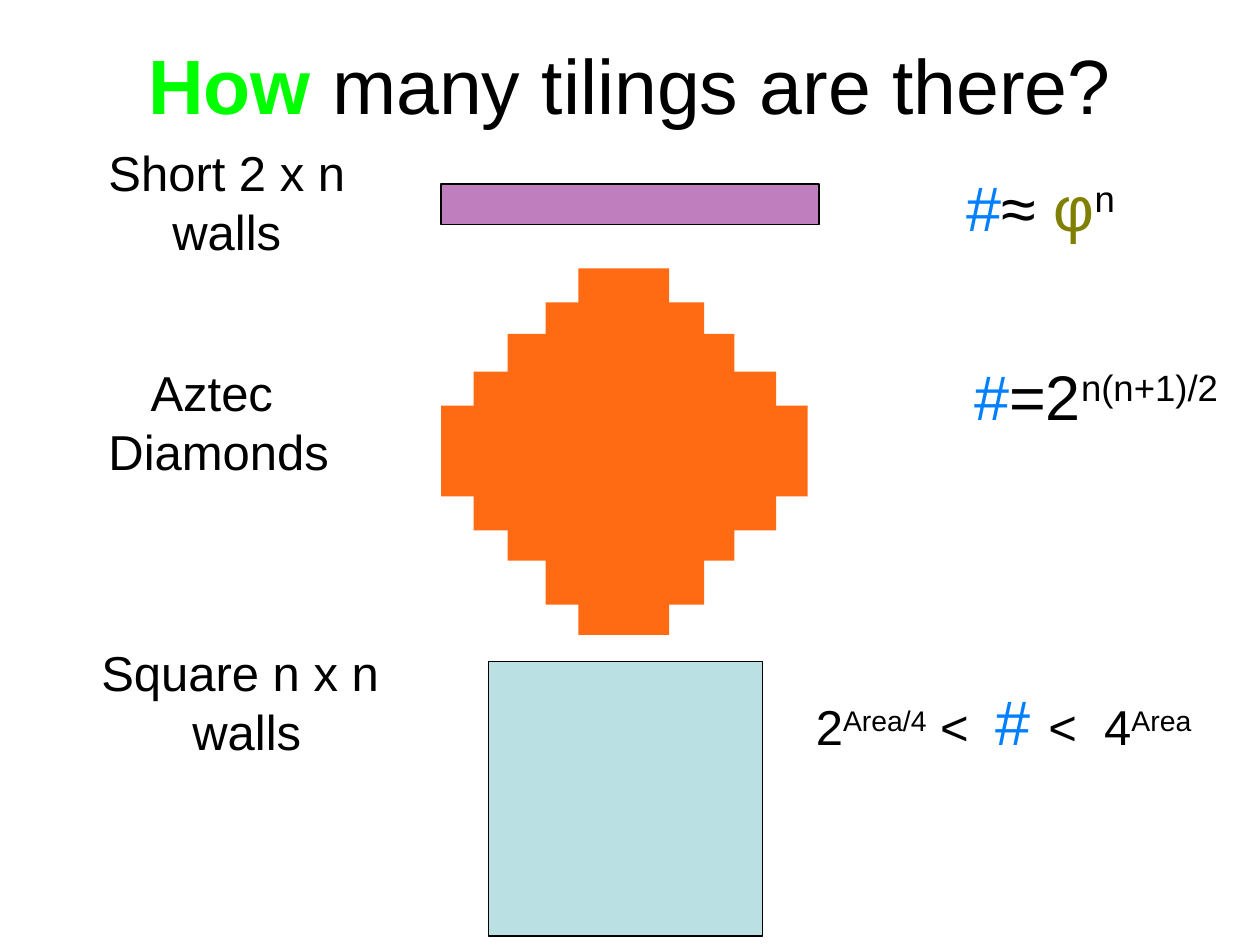
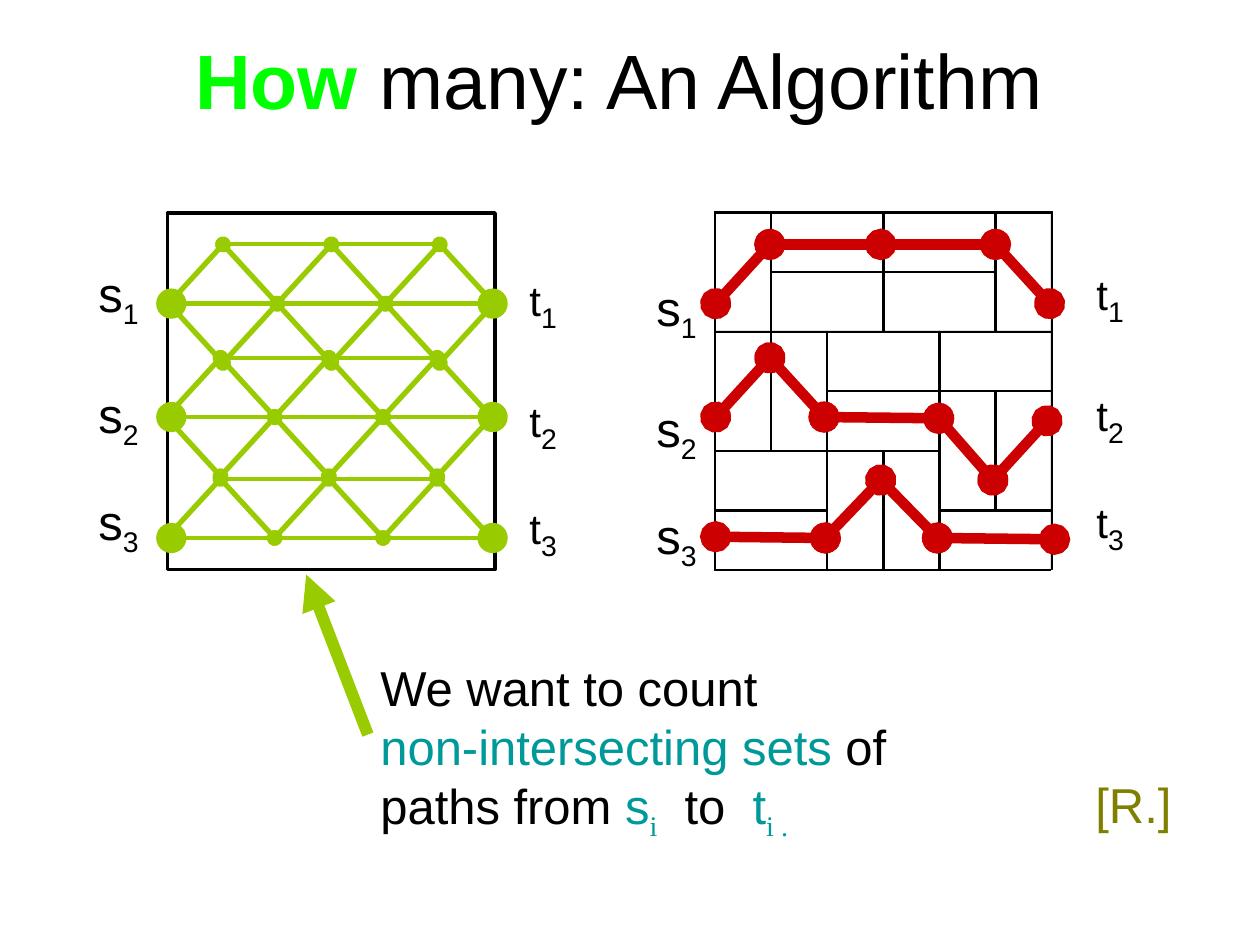
from dataclasses import dataclass
from itertools import pairwise

from lxml.etree import SubElement
from pptx import Presentation
from pptx.dml.color import RGBColor
from pptx.enum.shapes import MSO_CONNECTOR, MSO_SHAPE
from pptx.enum.text import MSO_ANCHOR, MSO_AUTO_SIZE, PP_ALIGN
from pptx.oxml.ns import qn
from pptx.util import Inches, Pt


@dataclass(frozen=True)
class Theme:
    font: str = "Arial"
    index_font: str = "Times New Roman"
    ink: str = "000000"
    highlight: str = "00FF00"
    count: str = "0080FF"
    olive: str = "808000"
    teal: str = "009999"
    short_wall: str = "800080"
    diamond: str = "FF6B13"
    square_wall: str = "BBE0E3"
    lattice: str = "99CC00"
    route: str = "CC0000"
    title_size: int = 44
    formula_size: int = 36
    body_size: int = 28
    sink_size: int = 24
    superscript: int = 30
    subscript: int = -25


THEME = Theme()


def write_run(paragraph, text, *, size=THEME.body_size, color=THEME.ink,
              font=THEME.font, bold=False, baseline=0):
    """Append formatted text; baseline is a percentage above (+) or below (-)."""
    run = paragraph.add_run()
    run.text = text
    run.font.size = Pt(size)
    run.font.name = font
    run.font.bold = bold
    run.font.color.rgb = RGBColor.from_string(color)
    if baseline:
        run.font._element.set("baseline", str(baseline * 1000))


class SlideBuilder:
    def __init__(self, presentation, theme):
        self.presentation = presentation
        self.theme = theme
        self.slide = None

    def new_slide(self, title):
        self.slide = self.presentation.slides.add_slide(
            self.presentation.slide_layouts[6])
        self.title(*title)

    def title(self, text, top):
        style = {"size": self.theme.title_size}
        how = ("How ", {"color": self.theme.highlight, "bold": True})
        self.text(0.75, top, 8.5, 1.25, [[how, text]], wrap=True, grow=False,
                  anchor=MSO_ANCHOR.MIDDLE, **style)

    def text(self, left, top, width, height, lines, *, align=PP_ALIGN.CENTER,
             anchor=MSO_ANCHOR.TOP, wrap=False, grow=True, **style):
        """Each line lists strings or (string, format) pairs; style is the default."""
        box = self.slide.shapes.add_textbox(
            Inches(left), Inches(top), Inches(width), Inches(height))
        frame = box.text_frame
        frame.word_wrap = wrap
        frame.vertical_anchor = anchor
        frame.auto_size = (MSO_AUTO_SIZE.SHAPE_TO_FIT_TEXT if grow
                           else MSO_AUTO_SIZE.NONE)
        for number, line in enumerate(lines):
            paragraph = frame.add_paragraph() if number else frame.paragraphs[0]
            paragraph.alignment = align
            for part in line:
                text, change = (part, {}) if isinstance(part, str) else part
                write_run(paragraph, text, **(style | change))

    def shape(self, left, top, width, height, *, kind=MSO_SHAPE.RECTANGLE,
              fill=None, opacity=100, line=None, weight=0.75):
        shape = self.slide.shapes.add_shape(
            kind, Inches(left), Inches(top), Inches(width), Inches(height))
        shape.shadow.inherit = False
        if fill:
            shape.fill.solid()
            shape.fill.fore_color.rgb = RGBColor.from_string(fill)
        else:
            shape.fill.background()
        if opacity < 100:
            color = shape._element.spPr.find(qn("a:solidFill"))[0]
            SubElement(color, qn("a:alpha"), val=str(opacity * 1000))
        if line:
            shape.line.color.rgb = RGBColor.from_string(line)
            shape.line.width = Pt(weight)
        else:
            shape.line.fill.background()

    def dot(self, x, y, diameter, color):
        self.shape(x - diameter / 2, y - diameter / 2, diameter, diameter,
                   kind=MSO_SHAPE.OVAL, fill=color, line=color)

    def line(self, start, end, color, weight, *, head=None, tail=None):
        connector = self.slide.shapes.add_connector(
            MSO_CONNECTOR.STRAIGHT, *map(Inches, (*start, *end)))
        connector.line.color.rgb = RGBColor.from_string(color)
        connector.line.width = Pt(weight)
        outline = connector.line._get_or_add_ln()
        for tag, kind in (("a:headEnd", head), ("a:tailEnd", tail)):
            if kind:
                SubElement(outline, qn(tag), type=kind)
        SubElement(connector._element.spPr, qn("a:effectLst"))

    def terminals(self, letter, left, top, width, height, size):
        """Stack the three numbered labels of the path ends."""
        for number, drop in enumerate((0, 0.96, 1.81), start=1):
            index = (str(number), {"size": self.theme.body_size,
                                   "baseline": self.theme.subscript})
            self.text(left, top + drop, width, height, [[letter, index]],
                      anchor=MSO_ANCHOR.MIDDLE, size=size)

    def sources(self, left, top):
        self.terminals("s", left, top, 0.54, 0.57, self.theme.body_size)

    def sinks(self, left, top):
        self.terminals("t", left, top, 0.44, 0.5, self.theme.sink_size)


def build_counts(builder):
    theme = builder.theme
    raised = {"baseline": theme.superscript}
    number_sign = ("#", {"color": theme.count})
    builder.new_slide(("many tilings are there?", 0.04))

    builder.shape(3.5, 1.46, 3, 0.32, fill=theme.short_wall, opacity=50,
                  line=theme.ink)
    builder.shape(3.88, 5.25, 2.17, 2.18, fill=theme.square_wall, line=theme.ink)
    diamond_layers = ((4.59, 2.13, 0.72, 2.91), (4.33, 2.4, 1.26, 2.4),
                      (4.03, 2.65, 1.8, 1.8), (3.76, 2.95, 2.4, 1.26),
                      (3.5, 3.22, 2.91, 0.72))
    for layer in diamond_layers:
        builder.shape(*layer, fill=theme.diamond)

    region_names = ((0.75, 1.08, 2.1, "Short 2 x n ", "walls"),
                    (0.75, 2.83, 1.97, "Aztec ", "Diamonds"),
                    (0.69, 5.05, 2.43, "Square n x n", " walls"))
    for left, top, width, *lines in region_names:
        builder.text(left, top, width, 1.04, [[line] for line in lines])

    golden_ratio = ("φ", {"color": theme.olive})
    builder.text(7.25, 1.29, 2.02, 0.71,
                 [[number_sign, "≈ ", golden_ratio, ("n", raised)]],
                 wrap=True, size=theme.formula_size)
    builder.text(7.56, 2.79, 2.28, 0.71,
                 [[number_sign, "=2", ("n(n+1)/2", raised)]],
                 size=theme.formula_size)
    bounded = ("# ", {"size": theme.formula_size, "color": theme.count})
    builder.text(6.16, 5.37, 3.61, 0.71,
                 [["2", ("Area/4", raised), " <  ", bounded, "<  4",
                   ("Area", raised)]])


def draw_lattice(builder):
    """Triangular lattice whose rows each reach half a cell up and down."""
    color = builder.theme.lattice
    step, rise, columns = 0.86, 0.47, 3
    rows = ((1.34, 2.41), (1.32, 3.31), (1.32, 4.27))
    builder.shape(1.33, 1.69, 2.6, 2.83, line=builder.theme.ink, weight=2)
    for row, (left, y) in enumerate(rows):
        directions = (-rise, rise) if row < len(rows) - 1 else (-rise,)
        for column in range(columns):
            start = (left + column * step, y)
            end = (start[0] + step, y)
            builder.line(end, start, color, 2.75, head="oval")
            for shift in directions:
                apex = (start[0] + step / 2, y + shift)
                for node in (start, end):
                    builder.line(node, apex, color, 3, head="oval", tail="oval")
        first_apex = left + step / 2
        builder.line((first_apex, y - rise),
                     (first_apex + (columns - 1) * step, y - rise), color, 2.25)
        for x in (1.36, 3.91):
            builder.dot(x, y, 0.23, color)


def draw_tiling(builder):
    """Domino seams on a 6 x 6 grid, given as column, row, length in cells."""
    left, top, cell_width, cell_height, seam = 5.67, 1.68, 0.445, 0.473, 0.01
    across = ((0, 0, 6), (1, 1, 4), (0, 2, 6), (2, 3, 4), (0, 4, 4),
              (0, 5, 2), (4, 5, 2), (0, 6, 6))
    down = ((0, 0, 6), (1, 0, 4), (2, 2, 4), (3, 0, 2), (3, 4, 2),
            (4, 2, 4), (5, 0, 2), (5, 3, 2), (6, 0, 6))
    bars = [(*bar, True) for bar in across] + [(*bar, False) for bar in down]
    for column, row, length, horizontal in bars:
        size = ((length * cell_width, seam) if horizontal
                else (seam, length * cell_height))
        builder.shape(left + column * cell_width, top + row * cell_height, *size,
                      fill=builder.theme.ink, line=builder.theme.ink, weight=0.38)


def draw_routes(builder):
    routes = (
        ((5.68, 2.41), (6.11, 1.94), (6.99, 1.94), (7.9, 1.94), (8.33, 2.41)),
        ((5.68, 3.31), (6.11, 2.84), (6.54, 3.31), (7.45, 3.32), (7.88, 3.81),
         (8.31, 3.34)),
        ((5.68, 4.26), (6.55, 4.27), (6.99, 3.81), (7.44, 4.27), (8.37, 4.28)),
    )
    for route in routes:
        for start, end in pairwise(route):
            builder.line(start, end, builder.theme.route, 6,
                         head="oval", tail="oval")


def build_algorithm(builder):
    theme = builder.theme
    builder.new_slide(("many: An Algorithm ", 0))

    draw_tiling(builder)
    draw_routes(builder)
    builder.sources(5.1, 2.18)
    builder.sinks(8.59, 2.09)

    draw_lattice(builder)
    builder.sources(0.67, 2.07)
    builder.sinks(4.09, 2.14)

    teal = {"color": theme.teal}
    index = teal | {"font": theme.index_font, "baseline": theme.subscript}
    builder.text(2.92, 5.17, 4.22, 1.5,
                 [["We want to count"],
                  [("non-intersecting sets", teal), " of"],
                  ["paths from ", ("s", teal), ("i", index), "  to  ",
                   ("t", teal), ("i .", index)]],
                 align=PP_ALIGN.LEFT)
    builder.line((2.92, 5.83), (2.43, 4.56), theme.lattice, 6.75, tail="triangle")
    builder.text(8.59, 6.1, 0.81, 0.57, [["[R.]"]], color=theme.olive)


def main():
    presentation = Presentation()
    presentation.slide_width = Inches(10)
    presentation.slide_height = Inches(7.5)
    builder = SlideBuilder(presentation, THEME)
    build_counts(builder)
    build_algorithm(builder)
    presentation.save("out.pptx")


if __name__ == "__main__":
    main()
